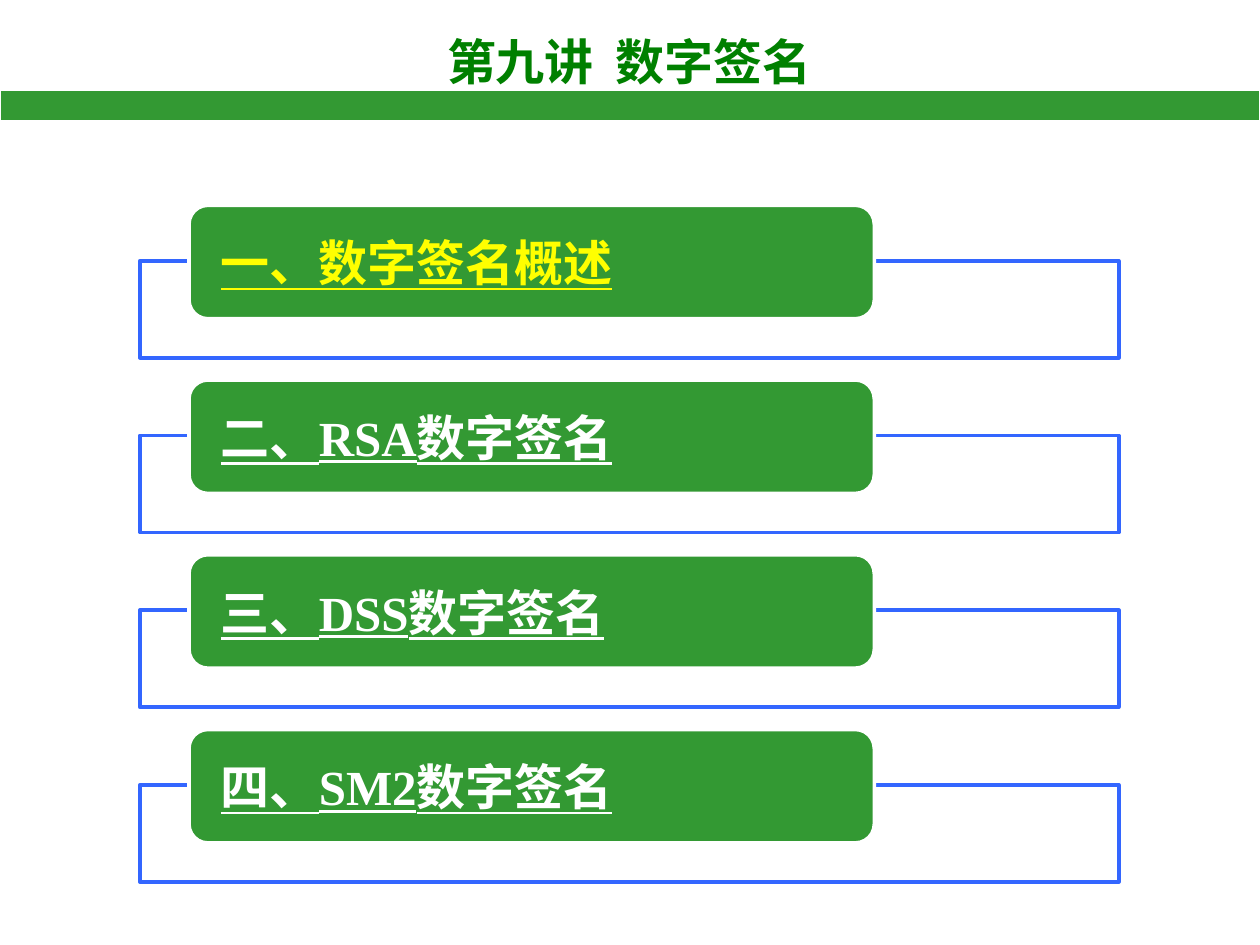
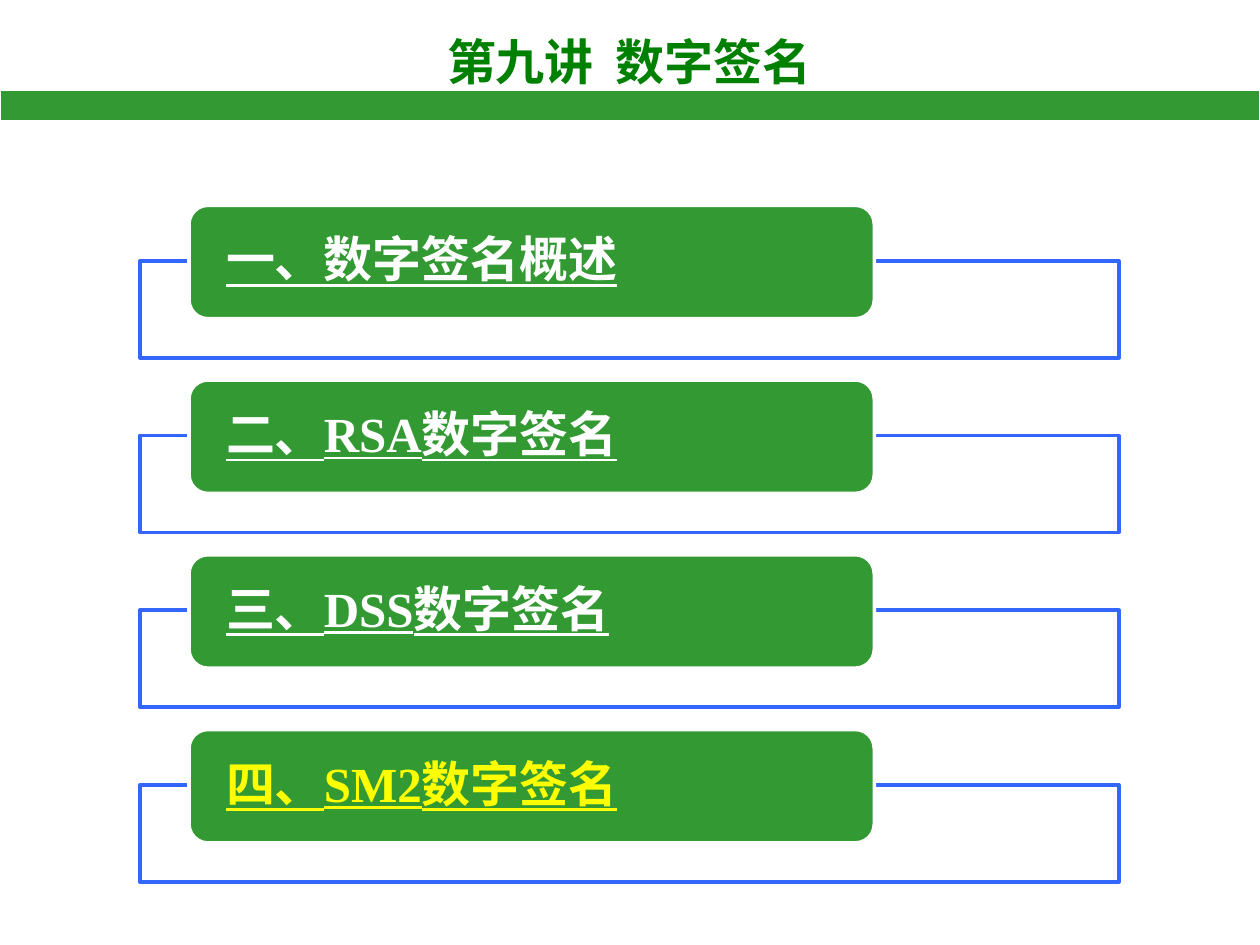
from dataclasses import dataclass

from lxml.etree import SubElement
from pptx import Presentation
from pptx.dml.color import RGBColor
from pptx.enum.shapes import MSO_SHAPE
from pptx.enum.text import MSO_ANCHOR, MSO_AUTO_SIZE, PP_ALIGN
from pptx.oxml.ns import qn
from pptx.util import Inches, Pt

WHITE, GREEN, TITLE_GREEN = "FFFFFF", "339933", "008000"
BLUE, YELLOW = "3366FF", "FFFF00"
CJK_FONT, LATIN_FONT = "Noto Sans CJK SC", "Times New Roman"
TITLE = "第九讲  数字签名"
SECTIONS = ["一、数字签名概述", "二、RSA数字签名", "三、DSS数字签名", "四、SM2数字签名"]


@dataclass
class Box:
    """A rectangle in inches."""
    left: float
    top: float
    width: float
    height: float

    def lengths(self):
        """Return the four sides as slide lengths."""
        return [Inches(side) for side in (self.left, self.top, self.width, self.height)]


TITLE_BOX = Box(2.48, 0.2, 5.03, 0.57)
BAND_BOX = Box(0, 0.72, 10, 0.24)
AGENDA_BOX = Box(1.11, 1.63, 7.77, 5.37)


def colour(value):
    """Turn a hex string into a colour."""
    return RGBColor.from_string(value)


def add_span(para, text, font_name, hex_colour, underline=False):
    """Add one bold run with its Latin and East Asian fonts."""
    span = para.add_run()
    span.text = text
    font = span.font
    font.name, font.size, font.bold = font_name, Pt(28), True
    font.underline = underline
    font.color.rgb = colour(hex_colour)
    latin = font._element.find(qn("a:latin"))
    east_asian = latin.makeelement(qn("a:ea"), {"typeface": CJK_FONT})
    latin.addnext(east_asian)


def add_panel(page, kind, box, fill, line, line_width, opacity=None):
    """Add a filled, outlined shape without a shadow."""
    panel = page.shapes.add_shape(kind, *box.lengths())
    panel.shadow.inherit = False
    panel.fill.solid()
    panel.fill.fore_color.rgb = colour(fill)
    panel.line.color.rgb = colour(line)
    panel.line.width = Pt(line_width)
    if opacity is not None:
        solid = panel._element.spPr.find(qn("a:solidFill"))
        SubElement(solid[0], qn("a:alpha"), val=str(opacity * 1000))
    return panel


def add_header(page):
    """Place the lecture title and the green band."""
    title = page.shapes.title
    title.left, title.top, title.width, title.height = TITLE_BOX.lengths()
    frame = title.text_frame
    frame.auto_size = MSO_AUTO_SIZE.NONE
    frame.vertical_anchor = MSO_ANCHOR.TOP
    para = frame.paragraphs[0]
    para.alignment = PP_ALIGN.CENTER
    add_span(para, TITLE, CJK_FONT, TITLE_GREEN)
    add_panel(page, MSO_SHAPE.RECTANGLE, BAND_BOX, GREEN, WHITE, 0.75)


def add_section(page, box, text, text_colour, inset, line_spacing):
    """Place an outlined frame with a rounded section tab over its top edge."""
    frame_box = Box(box.left, box.top + 0.44, box.width, box.height - 0.44)
    tab_box = Box(box.left + 0.39, box.top, box.width * 0.7, 0.9)
    add_panel(page, MSO_SHAPE.RECTANGLE, frame_box, WHITE, BLUE, 2, opacity=90)
    tab = add_panel(page, MSO_SHAPE.ROUNDED_RECTANGLE, tab_box, GREEN, WHITE, 2)
    frame = tab.text_frame
    frame.word_wrap = True
    frame.vertical_anchor = MSO_ANCHOR.MIDDLE
    frame.margin_left = frame.margin_right = Inches(inset)
    frame.margin_top = frame.margin_bottom = 0
    para = frame.paragraphs[0]
    para.alignment = PP_ALIGN.LEFT
    para.line_spacing = line_spacing
    add_span(para, text, LATIN_FONT, text_colour, underline=True)


def add_agenda(page, box, current, inset, line_spacing):
    """Spread the sections evenly down the box and highlight the current one."""
    section_height = 1.21
    pitch = (box.height - section_height) / (len(SECTIONS) - 1)
    for index, text in enumerate(SECTIONS):
        section_box = Box(box.left, box.top + index * pitch, box.width, section_height)
        text_colour = YELLOW if index == current else WHITE
        add_section(page, section_box, text, text_colour, inset, line_spacing)


def add_agenda_page(deck, current, inset, line_spacing):
    """Add one agenda slide."""
    page = deck.slides.add_slide(deck.slide_layouts.get_by_name("Title Only"))
    add_header(page)
    add_agenda(page, AGENDA_BOX, current, inset, line_spacing)


def main():
    """Build and save the deck."""
    deck = Presentation()
    deck.slide_width, deck.slide_height = Inches(10), Inches(7.5)
    add_agenda_page(deck, current=0, inset=0.21, line_spacing=1.0)
    add_agenda_page(deck, current=3, inset=0.25, line_spacing=0.9)
    deck.save("out.pptx")


if __name__ == "__main__":
    main()
